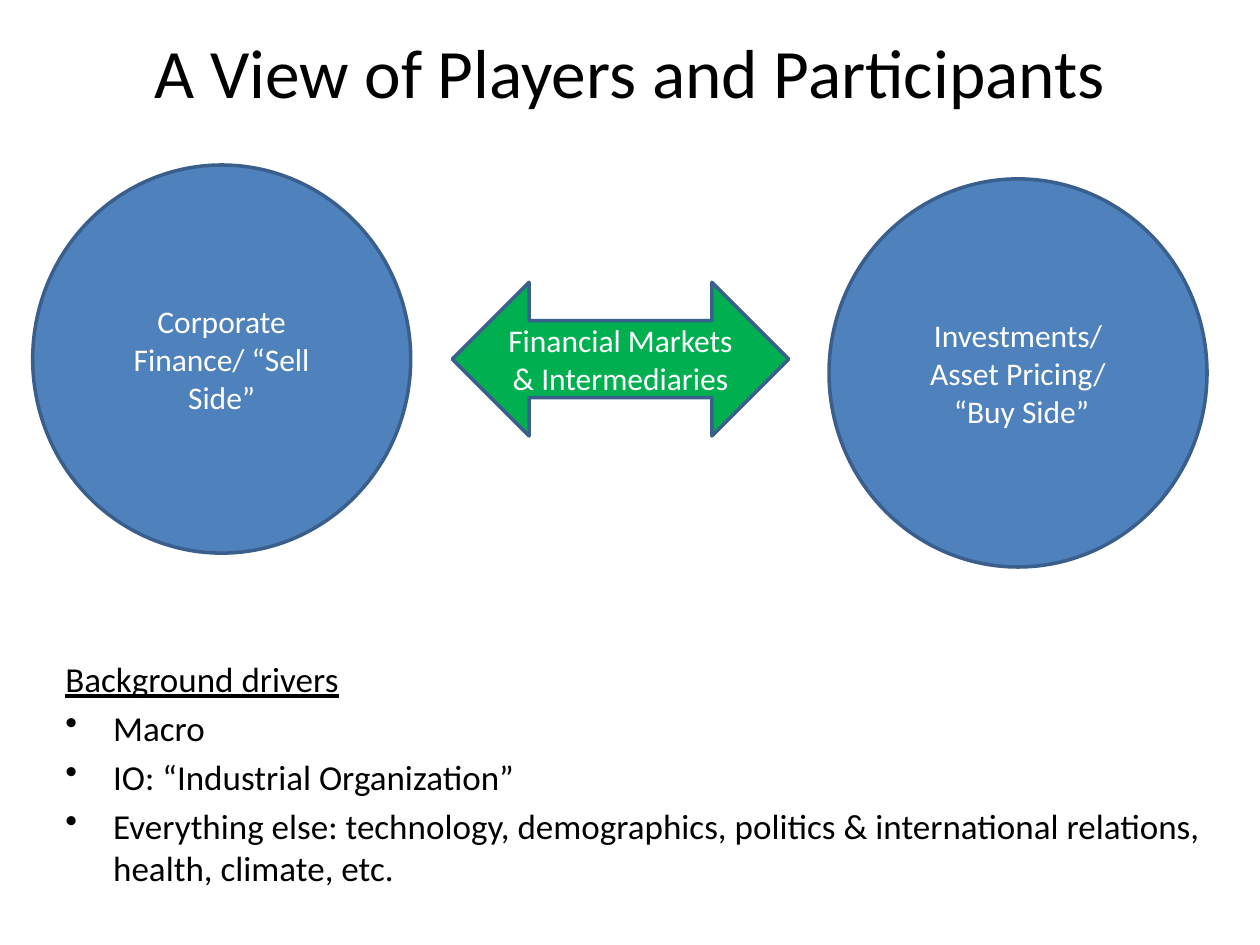
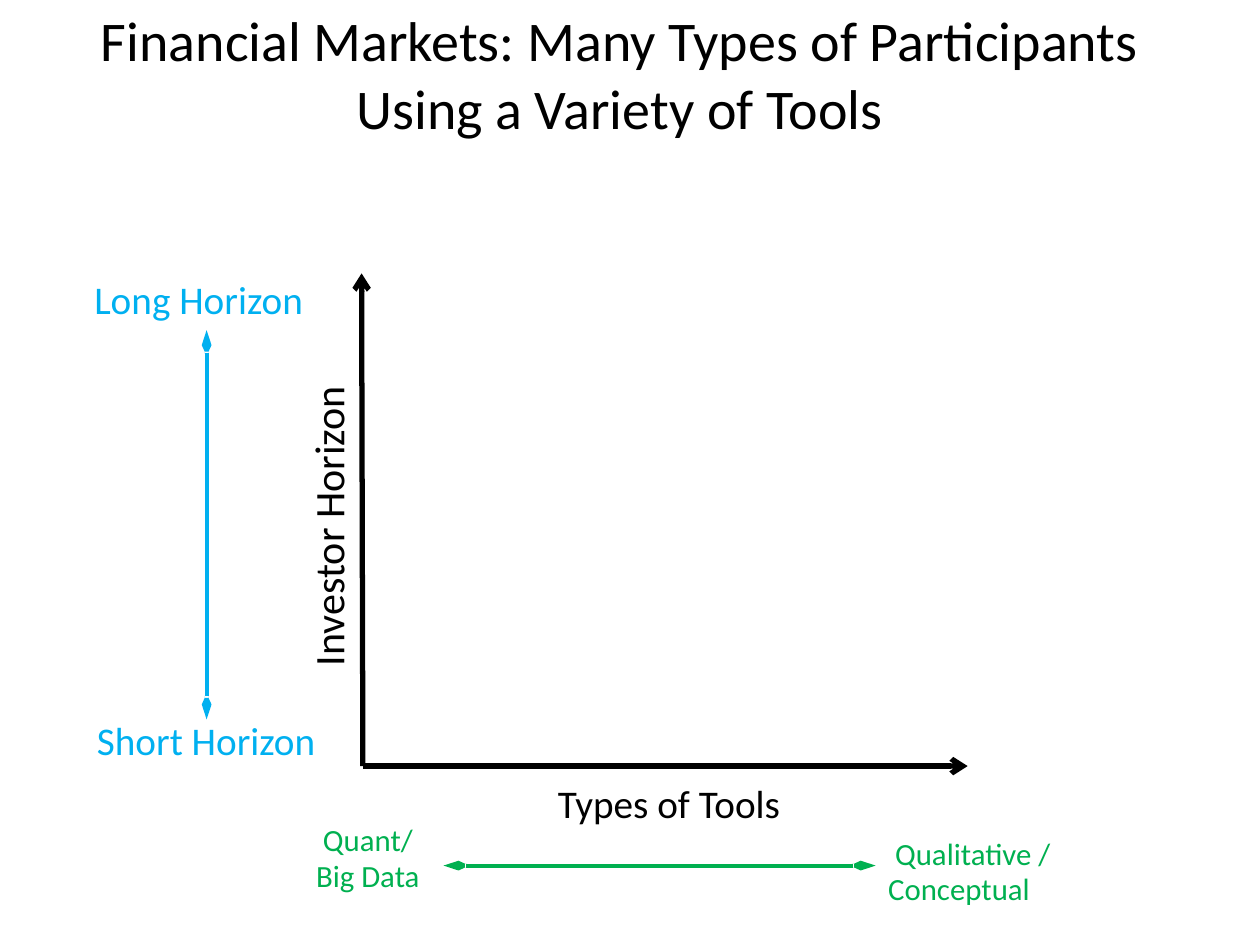
from dataclasses import dataclass

from pptx import Presentation
from pptx import util as u
from pptx.dml.color import RGBColor
from pptx.enum import shapes, text
from pptx.oxml.ns import qn
from lxml import etree

PX = 9144
CENTER = text.PP_ALIGN.CENTER


@dataclass(frozen=True)
class Theme:
    """Colours, font and type sizes shared by the slides."""
    font: str = "Calibri"
    ink: str = "000000"
    white: str = "FFFFFF"
    circle: str = "4F81BD"
    outline: str = "3A5F8C"
    green: str = "00B050"
    sky: str = "00B0F0"
    title: float = 39.6
    long_title: float = 32
    axis: float = 24
    label: float = 22.4
    body: float = 20
    shape: float = 18
    small: float = 17.6


T = Theme()


def rgb(color):
    """Turn a hex string into a colour."""
    return RGBColor.from_string(color)


def px(*values):
    """Turn px lengths into EMU."""
    return [u.Emu(v * PX) for v in values]


def write(sp, lines, size, color, align=None, middle=False, before=0, spacing=None):
    """Fill a shape with one paragraph per line and return the paragraphs."""
    tf = sp.text_frame
    tf.word_wrap = True
    tf.vertical_anchor = text.MSO_ANCHOR.MIDDLE if middle else text.MSO_ANCHOR.TOP
    tf.text = "\n".join(lines)
    for p in tf.paragraphs:
        p.alignment = align
        p.space_before = u.Pt(before * size)
        p.line_spacing = spacing
        p.font.name = T.font
        p.font.size = u.Pt(size)
        p.font.color.rgb = rgb(color)
    return tf.paragraphs


def add_title(slide, box, line, size):
    """Place a centred slide title."""
    sp = slide.shapes.add_textbox(*px(*box))
    write(sp, [line], size, T.ink, CENTER, middle=True)


def add_label(slide, box, lines, size, color, spacing=0.8):
    """Place a text label and return its shape."""
    sp = slide.shapes.add_textbox(*px(*box))
    write(sp, lines, size, color, before=0.2, spacing=spacing)
    return sp


def add_player(slide, kind, box, lines, fill):
    """Place an outlined shape with centred white text."""
    sp = slide.shapes.add_shape(kind, *px(*box))
    sp.shadow.inherit = False
    sp.fill.solid()
    sp.fill.fore_color.rgb = rgb(fill)
    sp.line.color.rgb = rgb(T.outline)
    sp.line.width = u.Pt(2)
    write(sp, lines, T.shape, T.white, CENTER, middle=True)


def add_arrow(slide, start, end, color, width, ends, head_width="med", head_length="med"):
    """Draw a line with open arrowheads at the named ends."""
    line = slide.shapes.add_connector(shapes.MSO_CONNECTOR.STRAIGHT, *px(*start, *end))
    line.line.color.rgb = rgb(color)
    line.line.width = u.Pt(width)
    ln = line.line._get_or_add_ln()
    for name in ends:
        etree.SubElement(ln, qn(f"a:{name}"), type="arrow", w=head_width, len=head_length)
    etree.SubElement(line._element.spPr, qn("a:effectLst"))


def add_range(slide, start, end, color):
    """Draw a slim arrow pointing both ways."""
    add_arrow(slide, start, end, color, 2.25, ("headEnd", "tailEnd"), "sm", "lg")


def add_drivers(slide, box, heading, items):
    """Place an underlined heading over a bulleted list."""
    sp = slide.shapes.add_textbox(*px(*box))
    head, *bullets = write(sp, [heading, *items], T.body, T.ink, before=0.2)
    head.font.underline = True
    indent = 38 * PX
    for p in bullets:
        pPr = p._p.get_or_add_pPr()
        pPr.set("marL", str(indent))
        pPr.set("indent", str(-indent))
        bullet = etree.Element(qn("a:buChar"), char="•")
        pPr.find(qn("a:defRPr")).addprevious(bullet)


def add_axes(slide, box):
    """Draw both axes with their names, from the bottom left of the box."""
    x, y, w, h = box
    origin = (x, y + h)
    add_arrow(slide, origin, (x + w, y + h), T.ink, 3, ("tailEnd",))
    add_arrow(slide, origin, (x - 1, y), T.ink, 3, ("tailEnd",))
    name = add_label(slide, (x - 158, y + 182, 252, 42), [" Investor Horizon"],
                     T.axis, T.ink, spacing=None)
    name.rotation = 270
    add_label(slide, (x + 138, y + h + 13, 242, 42), [" Types of Tools"], T.label, T.ink)


def add_horizon_scale(slide, box):
    """Place the vertical scale from long to short horizon."""
    x, y, w, h = box
    add_label(slide, (x, y, w, 42), [" Long Horizon"], T.label, T.sky)
    add_label(slide, (x + 2, y + h - 42, w, 42), [" Short Horizon"], T.label, T.sky)
    add_range(slide, (x + 106, y + 41), (x + 106, y + h - 42), T.sky)


def add_tool_scale(slide, box):
    """Place the horizontal scale from quantitative to qualitative tools."""
    x, y, w, h = box
    right = x + w - 165
    add_label(slide, (x, y, 122, 67), [" Quant/", "Big Data"], T.small, T.green)
    add_label(slide, (right, y + h - 67, 165, 67), [" Qualitative /", "Conceptual"],
              T.small, T.green)
    add_range(slide, (right, y + 35), (x + 111, y + 35), T.green)


def players_slide(prs):
    """Build the slide on players and background drivers."""
    slide = prs.slides.add_slide(prs.slide_layouts[6])
    kinds = shapes.MSO_SHAPE
    add_title(slide, (25, 17, 950, 78), "A View of Players and Participants", T.title)
    add_drivers(slide, (42, 517, 933, 194), "Background drivers", [
        "Macro",
        "IO: “Industrial Organization”",
        "Everything else: technology, demographics, politics & international relations, "
        "health, climate, etc.",
    ])
    add_player(slide, kinds.OVAL, (26, 131, 300, 308),
               ["Corporate Finance/ “Sell Side”"], T.circle)
    add_player(slide, kinds.OVAL, (658, 142, 300, 308),
               ["Investments/", "Asset Pricing/", " “Buy Side”"], T.circle)
    add_player(slide, kinds.LEFT_RIGHT_ARROW, (359, 224, 267, 122),
               ["Financial Markets & Intermediaries"], T.green)


def tools_slide(prs):
    """Build the slide on investor horizon and types of tools."""
    slide = prs.slides.add_slide(prs.slide_layouts[6])
    add_title(slide, (17, 8, 950, 100),
              "Financial Markets: Many Types of Participants Using a Variety of Tools",
              T.long_title)
    add_axes(slide, (288, 217, 480, 391))
    add_horizon_scale(slide, (58, 221, 242, 392))
    add_tool_scale(slide, (241, 652, 619, 78))


def main():
    """Build and save the presentation."""
    prs = Presentation()
    prs.slide_width, prs.slide_height = px(1000, 750)
    players_slide(prs)
    tools_slide(prs)
    prs.save("out.pptx")


if __name__ == "__main__":
    main()
